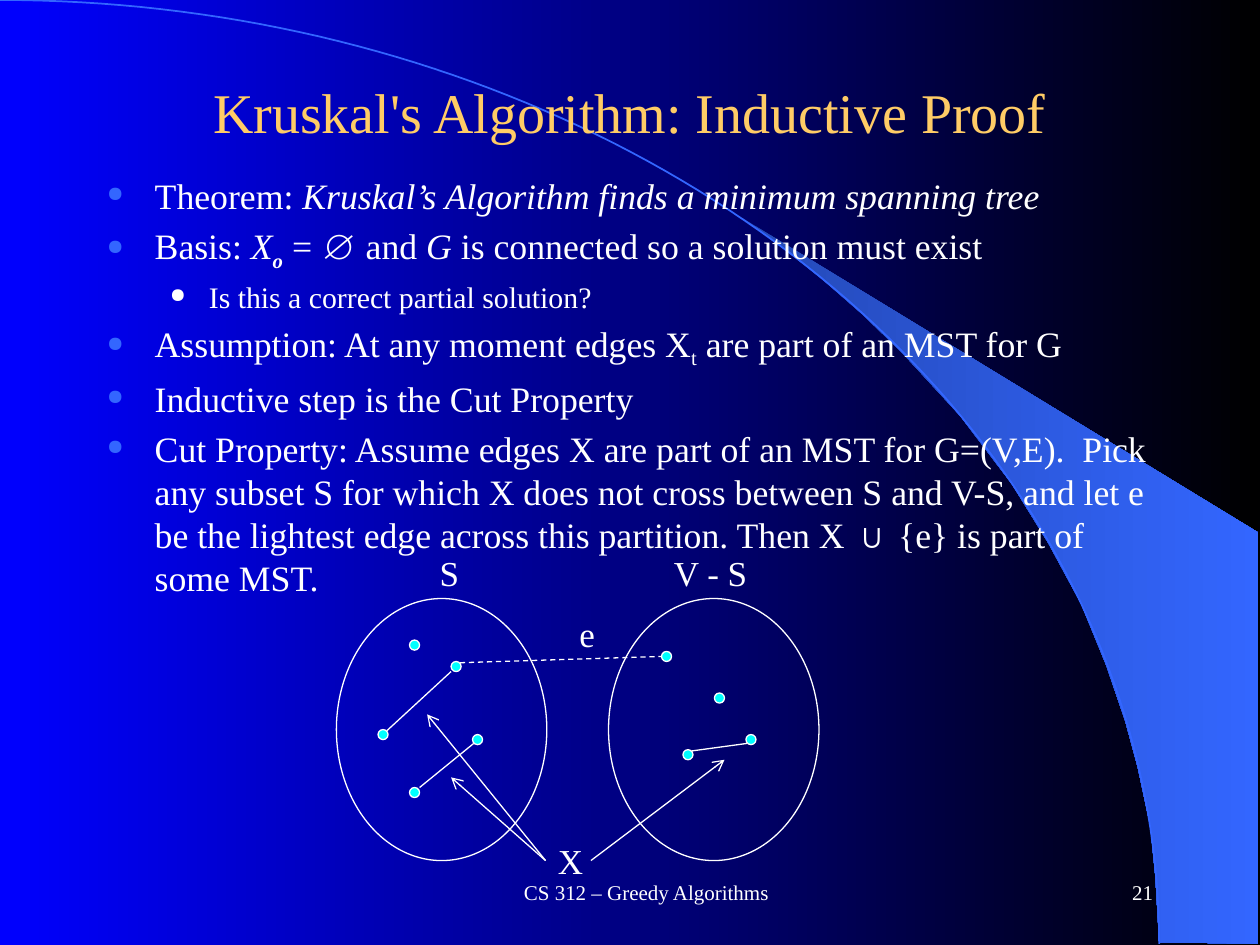
"""Build the slide on the inductive proof of Kruskal's algorithm."""
from math import cos, pi, sin

from lxml.etree import SubElement
from pptx import Presentation
from pptx.dml.color import RGBColor
from pptx.enum.dml import MSO_LINE
from pptx.enum.shapes import MSO_CONNECTOR, MSO_SHAPE
from pptx.enum.text import MSO_ANCHOR as ANCHOR, MSO_AUTO_SIZE as FIT, PP_ALIGN as ALIGN
from pptx.oxml.ns import qn
from pptx.util import Inches, Pt

WHITE = RGBColor(0xFF, 0xFF, 0xFF)
BLACK = RGBColor(0x00, 0x00, 0x00)
BLUE = RGBColor(0x00, 0x00, 0xFF)
SKY = RGBColor(0x33, 0x66, 0xFF)
NAVY = RGBColor(0x24, 0x49, 0xB6)
GOLD = RGBColor(0xFF, 0xCC, 0x66)
CYAN = RGBColor(0x00, 0xFF, 0xFF)

prs = Presentation()
prs.slide_width, prs.slide_height = Inches(10), Inches(7.5)
slide = prs.slides.add_slide(prs.slide_layouts[5])
shapes = slide.shapes


def add_run(paragraph, text, size, color=WHITE, baseline=None, **style):
    run = paragraph.add_run()
    run.text = text
    run.font.color.rgb = color
    for name, value in {"name": "Times New Roman", "size": Pt(size), **style}.items():
        setattr(run.font, name, value)
    if baseline:
        run.font._element.set("baseline", baseline)


def add_edge(start, end, dash=None, arrow=False):
    edge = shapes.add_connector(MSO_CONNECTOR.STRAIGHT, *map(Inches, start + end))
    edge.line.color.rgb = WHITE
    edge.line.width = Pt(0.75)
    if dash:
        edge.line.dash_style = dash
    if arrow:
        SubElement(edge.line._get_or_add_ln(), qn("a:tailEnd"), type="arrow")
    SubElement(edge._element.spPr, qn("a:effectLst"))


band_points = [
    (9.2, 7.48), (9.99, 7.49), (9.99, 4.23), (5.89, 1.73), (6.24, 1.99), (6.53, 2.22),
    (6.85, 2.5), (7.16, 2.8), (7.62, 3.3), (8.03, 3.84), (8.32, 4.31), (8.58, 4.79),
    (8.78, 5.28), (8.93, 5.72), (9.03, 6.09), (9.13, 6.56), (9.17, 6.96),
]
arc_steps = 90
arc_angles = [step * pi / 2 / arc_steps for step in range(arc_steps + 1)]
arc_points = [(9.2 * sin(angle), 7.49 * (1 - cos(angle))) for angle in arc_angles]
backdrop = []
for points, closed in [(band_points, True), (arc_points, False)]:
    corners = [(Inches(x), Inches(y)) for x, y in points]
    builder = shapes.build_freeform(*corners[0])
    builder.add_line_segments(corners[1:], close=closed)
    outline = builder.convert_to_shape()
    outline.shadow.inherit = False
    backdrop.append(outline)
band, arc = backdrop
band.line.fill.background()
arc.fill.background()
arc.line.color.rgb = SKY
arc.line.width = Pt(1)

for fill, colors in [(slide.background.fill, (BLUE, BLACK)), (band.fill, (NAVY, SKY))]:
    fill.gradient()
    fill.gradient_angle = 0
    for stop, color, position in zip(fill.gradient_stops, colors, (0, 1)):
        stop.color.rgb = color
        stop.position = position

title = shapes.title
for name, value in {"left": 0.75, "top": 0.42, "width": 8.5, "height": 0.92}.items():
    setattr(title, name, Inches(value))
title_frame = title.text_frame
for name, value in {"auto_size": FIT.NONE, "word_wrap": True,
                    "vertical_anchor": ANCHOR.MIDDLE}.items():
    setattr(title_frame, name, value)
title_frame.paragraphs[0].alignment = ALIGN.CENTER
add_run(title_frame.paragraphs[0], "Kruskal's Algorithm: Inductive Proof", 32, GOLD)
shapes._spTree.append(title._element)

ITALIC = {"italic": True}
SUBSCRIPT = {"baseline": "-25000"}
proof_points = [
    (0, [("Theorem: ", {}), ("Kruskal’s Algorithm finds a minimum spanning tree", ITALIC)]),
    (0, [("Basis: ", {}), ("X", ITALIC), ("o", {"bold": True, **ITALIC, **SUBSCRIPT}),
         (" = ∅ and ", {}), ("G", ITALIC), (" is connected so a solution must exist", {})]),
    (1, [("Is this a correct partial solution?", {})]),
    (0, [("Assumption: At any moment edges X", {}), ("t", SUBSCRIPT),
         (" are part of an MST for G", {})]),
    (0, [("Inductive step is the Cut Property", {})]),
    (0, [("Cut Property: Assume edges X are part of an MST for G=(V,E).  Pick any subset S "
          "for which X does not cross between S and V-S, and let e be the lightest edge "
          "across this partition. Then X ∪ {e} is part of some MST.", {})]),
]
level_formats = [
    {"size": 20.4, "margin": 0.38, "indent": -0.38, "bullet": "3366FF", "scale": "60000"},
    {"size": 17, "margin": 0.81, "indent": -0.31, "bullet": "FFFFFF", "scale": "68000"},
]
proof = shapes.add_textbox(Inches(0.75), Inches(1.33), Inches(8.5), Inches(2.99)).text_frame
proof.word_wrap = True
for number, (level, runs) in enumerate(proof_points):
    point = proof.add_paragraph() if number else proof.paragraphs[0]
    look = level_formats[level]
    for name, value in {"level": level, "line_spacing": 1.0,
                        "space_before": Pt(look["size"] * 0.2)}.items():
        setattr(point, name, value)
    props = point._p.get_or_add_pPr()
    props.set("marL", str(Inches(look["margin"])))
    props.set("indent", str(Inches(look["indent"])))
    SubElement(SubElement(props, qn("a:buClr")), qn("a:srgbClr"), val=look["bullet"])
    SubElement(props, qn("a:buSzPct"), val=look["scale"])
    SubElement(props, qn("a:buChar"), char="●")
    for text, style in runs:
        add_run(point, text, look["size"], **style)

left_set, right_set = (2.67, 4.75), (4.83, 4.75)
vertices = [
    (3.25, 5.08), (3, 5.79), (3.58, 5.25), (3.25, 6.25), (3.75, 5.83),
    (5.25, 5.17), (5.42, 5.95), (5.67, 5.5), (5.92, 5.83),
]
ovals = [(corner, (1.67, 2.08), None) for corner in (left_set, right_set)]
ovals += [(corner, (0.08, 0.08), CYAN) for corner in vertices]
for corner, size, color in ovals:
    oval = shapes.add_shape(MSO_SHAPE.OVAL, *map(Inches, corner + size))
    oval.shadow.inherit = False
    oval.line.color.rgb = WHITE
    oval.line.width = Pt(0.75)
    if color:
        oval.fill.solid()
        oval.fill.fore_color.rgb = color
    else:
        oval.fill.background()

for start, end in [((3.07, 5.8), (3.58, 5.33)), ((3.76, 5.9), (3.33, 6.25)),
                   ((5.49, 5.96), (5.93, 5.9))]:
    add_edge(start, end)
add_edge((3.65, 5.26), (5.25, 5.21), dash=MSO_LINE.DASH)
for start, end in [((4.69, 6.83), (5.75, 6.03)), ((4.33, 6.83), (3.58, 6.17)),
                   ((4.33, 6.83), (3.39, 5.67))]:
    add_edge(start, end, arrow=True)

set_label = {"word_wrap": False, "auto_size": FIT.SHAPE_TO_FIT_TEXT}
footer_format = {"word_wrap": True, "vertical_anchor": ANCHOR.MIDDLE}
labels = [
    ("S", (3.39, 4.33, 0.36, 0.44), 20, ALIGN.LEFT, set_label),
    ("V - S", (5.25, 4.33, 0.8, 0.44), 20, ALIGN.LEFT, set_label),
    ("X", (4.33, 6.61, 0.41, 0.44), 20, ALIGN.LEFT, set_label),
    ("e", (4.5, 4.81, 0.33, 0.44), 20, ALIGN.LEFT, set_label),
    ("CS 312 – Greedy Algorithms", (3.17, 6.83, 3.92, 0.5), 12, ALIGN.CENTER, footer_format),
    ("21", (7.17, 6.83, 2.08, 0.5), 12, ALIGN.RIGHT, footer_format),
]
for text, place, size, alignment, frame_format in labels:
    frame = shapes.add_textbox(*map(Inches, place)).text_frame
    for name, value in frame_format.items():
        setattr(frame, name, value)
    frame.paragraphs[0].alignment = alignment
    add_run(frame.paragraphs[0], text, size)

prs.save("out.pptx")
